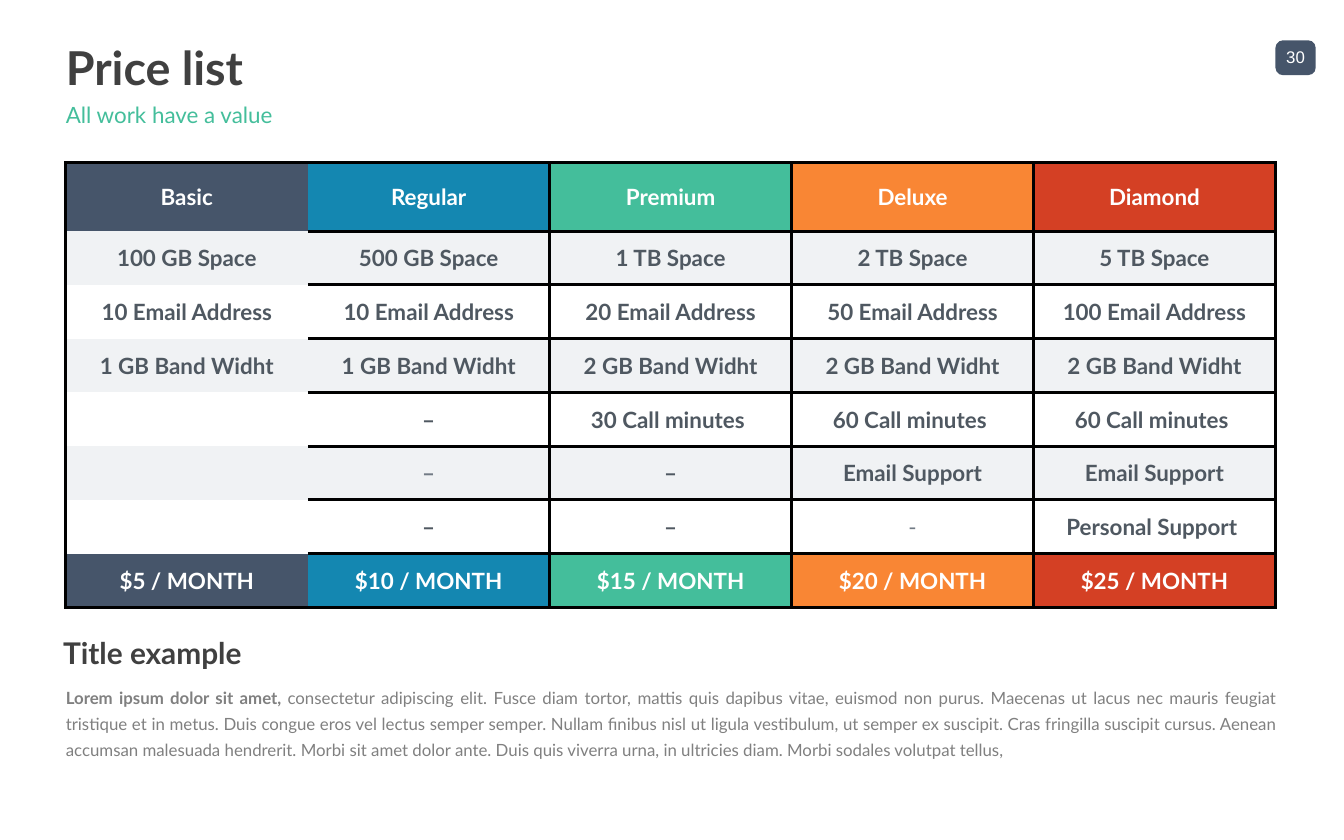
from pptx import Presentation
from pptx.dml.color import RGBColor
from pptx.enum.shapes import MSO_SHAPE as SHAPE
from pptx.enum.text import MSO_ANCHOR as ANCHOR, MSO_AUTO_SIZE as AUTO, PP_ALIGN as ALIGN
from pptx.oxml.ns import qn
from pptx.util import Inches, Pt
from lxml import etree

COLORS = {
    "slate": "46556A", "blue": "1487B1", "green": "44BE9B", "orange": "F98634",
    "red": "D44024", "band": "F0F2F4", "cell": "4F5861", "muted": "727B85",
    "dark": "404040", "gray": "808080", "white": "FFFFFF", "black": "000000",
}
PLANS = ["slate", "blue", "green", "orange", "red"]
NO_STYLE = "{2D5ABB26-0587-4C30-8999-92F81FD0307C}"
ROWS = [
    ["Basic", "Regular", "Premium", "Deluxe", "Diamond"],
    ["100 GB Space", "500 GB Space", "1 TB Space", "2 TB Space", "5 TB Space"],
    ["10 Email Address", "10 Email Address", "20 Email Address", "50 Email Address",
     "100 Email Address"],
    ["1 GB Band Widht", "1 GB Band Widht"] + ["2 GB Band Widht"] * 3,
    ["", "–", "30 Call minutes ", "60 Call minutes ", "60 Call minutes "],
    ["", "–", "–", "Email Support", "Email Support"],
    ["", "–", "–", "-", "Personal Support "],
    [f"${price} / MONTH" for price in range(5, 30, 5)],
]
SPECIAL = {(5, 1): {"color": "muted"}, (6, 3): {"color": "muted", "bold": False}}
LEAD = "Lorem ipsum dolor sit amet, "
BODY = (
    "consectetur adipiscing elit. Fusce diam tortor, mattis quis dapibus vitae, euismod non "
    "purus. Maecenas ut lacus nec mauris feugiat tristique et in metus. Duis congue eros vel "
    "lectus semper semper. Nullam finibus nisl ut ligula vestibulum, ut semper ex suscipit. "
    "Cras fringilla suscipit cursus. Aenean accumsan malesuada hendrerit. Morbi sit amet dolor "
    "ante. Duis quis viverra urna, in ultricies diam. Morbi sodales volutpat tellus, "
)


def rgb(name):
    """Return the named colour."""
    return RGBColor.from_string(COLORS[name])


def add_text(p, text, size=12, color="dark", bold=False, font="Lato", align=ALIGN.LEFT):
    """Add a formatted run to a paragraph."""
    p.alignment = align
    r = p.add_run()
    r.text = text
    r.font.name, r.font.size, r.font.bold = font, Pt(size), bold
    r.font.color.rgb = rgb(color)


def set_frame(s, x, y, w, h, inset=0.04, anchor=ANCHOR.MIDDLE, wrap=True):
    """Place a text shape and return its first paragraph."""
    s.left, s.top, s.width, s.height = (Inches(v) for v in (x, y, w, h))
    tf = s.text_frame
    tf.auto_size, tf.word_wrap, tf.vertical_anchor = AUTO.NONE, wrap, anchor
    tf.margin_left = tf.margin_right = 0
    tf.margin_top = tf.margin_bottom = Inches(inset)
    return tf.paragraphs[0]


def add_box(slide, *place, **options):
    """Add a text box and return its first paragraph."""
    return set_frame(slide.shapes.add_textbox(0, 0, 0, 0), *place, **options)


def set_borders(cell, visible):
    """Draw the visible sides of a cell in black and clear the others."""
    tcPr = cell._tc.get_or_add_tcPr()
    for i, side in enumerate("LRTB"):
        ln = etree.Element(qn(f"a:ln{side}"), w=str(Pt(1.75)))
        if side in visible:
            fill = etree.SubElement(ln, qn("a:solidFill"))
            etree.SubElement(fill, qn("a:srgbClr"), val=COLORS["black"])
        else:
            etree.SubElement(ln, qn("a:noFill"))
        tcPr.insert(i, ln)


def visible_sides(row, col):
    """Return the bordered sides; the first column has only its outer ones."""
    sides = {"L": col != 1, "R": col > 0,
             "T": col > 0 or row == 0, "B": col > 0 or row == len(ROWS) - 1}
    return [side for side, shown in sides.items() if shown]


def fill_cell(cell, row, col):
    """Write and format one price cell."""
    outer = row in (0, len(ROWS) - 1)
    cell.margin_left = cell.margin_right = cell.margin_top = cell.margin_bottom = Inches(0.06)
    cell.vertical_anchor = ANCHOR.MIDDLE
    if outer or row % 2:
        cell.fill.solid()
        cell.fill.fore_color.rgb = rgb(PLANS[col] if outer else "band")
    else:
        cell.fill.background()
    set_borders(cell, visible_sides(row, col))
    p = cell.text_frame.paragraphs[0]
    if ROWS[row][col]:
        style = {"color": "white" if outer else "cell", "bold": True}
        style.update(SPECIAL.get((row, col), {}))
        add_text(p, ROWS[row][col], align=ALIGN.CENTER, **style)
    else:
        p._p.get_or_add_endParaRPr().set("sz", "1200")


def add_price_table(slide):
    """Add the table of plans."""
    frame = slide.shapes.add_table(len(ROWS), len(PLANS), Inches(0.49), Inches(1.21),
                                   Inches(9), Inches(3.31))
    table = frame.table
    table._tbl.tblPr.find(qn("a:tableStyleId")).text = NO_STYLE
    table.first_row = table.horz_banding = False
    for i, row in enumerate(table.rows):
        row.height = Inches(0.4 if i else 0.51)
        for j, cell in enumerate(row.cells):
            fill_cell(cell, i, j)


def add_page_number(slide):
    """Add the page badge and its number."""
    s = slide.shapes.add_shape(SHAPE.ROUNDED_RECTANGLE, Inches(9.49), Inches(0.3),
                               Inches(0.3), Inches(0.26))
    s.adjustments[0] = 0.22
    s.shadow.inherit = False
    s.fill.solid()
    s.fill.fore_color.rgb = rgb("slate")
    s.line.fill.background()
    p = add_box(slide, 9.56, 0.29, 0.16, 0.27, inset=0, wrap=False)
    add_text(p, "30", size=9, color="white", font="Arial", align=ALIGN.CENTER)


def main():
    """Build and save the price list slide."""
    prs = Presentation()
    prs.slide_width, prs.slide_height = Inches(10), Inches(6.25)
    slide = prs.slides.add_slide(prs.slide_layouts[5])
    add_page_number(slide)
    add_text(set_frame(slide.shapes.title, 0.49, 0.3, 9, 0.39), "Price list", size=25, bold=True)
    add_text(add_box(slide, 0.49, 0.75, 9, 0.21), "All work have a value", color="green")
    p = add_box(slide, 0.49, 5.07, 9, 0.71, inset=0, anchor=ANCHOR.TOP)
    p.line_spacing, p.space_before = 1.3, Pt(1.8)
    for text, bold in ((LEAD, True), (BODY, False)):
        add_text(p, text, size=9, color="gray", bold=bold, align=ALIGN.JUSTIFY)
    add_text(add_box(slide, 0.47, 4.66, 9.02, 0.39), "Title example", size=16, bold=True)
    add_price_table(slide)
    prs.save("out.pptx")


main()
